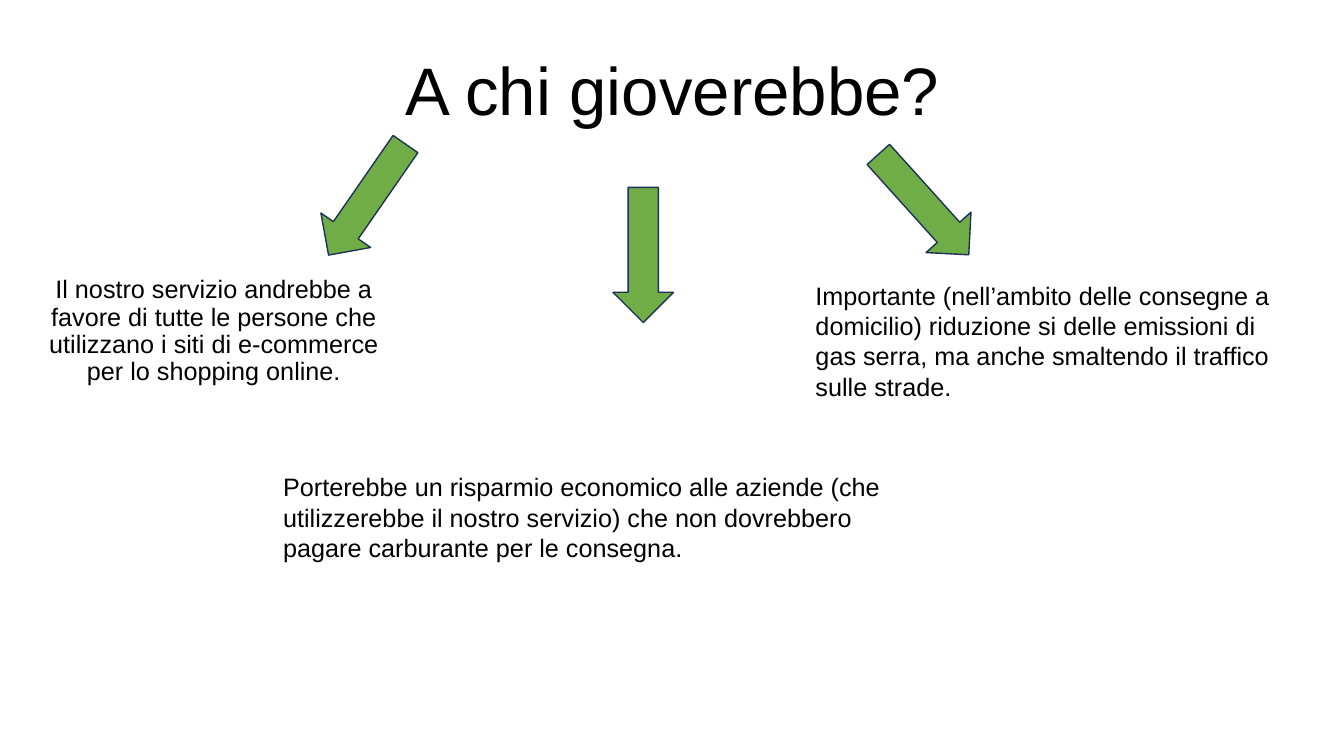
from dataclasses import dataclass

from pptx import Presentation
from pptx.dml.color import RGBColor
from pptx.enum.shapes import MSO_SHAPE
from pptx.enum.text import MSO_ANCHOR, PP_ALIGN
from pptx.slide import Slide
from pptx.util import Inches, Pt

RIGHT_ARROW = MSO_SHAPE.RIGHT_ARROW
TOP, BOTTOM = MSO_ANCHOR.TOP, MSO_ANCHOR.BOTTOM
LEFT, CENTER = PP_ALIGN.LEFT, PP_ALIGN.CENTER

FONT = "Arial"
BLACK, GREEN, NAVY = "000000", "70AD47", "1E3256"
ARROW_WIDTH, ARROW_HEIGHT = 1.34, 0.6


@dataclass
class TextBlock:
    text: str
    left: float
    top: float
    width: float
    height: float
    size: int = 18
    align: PP_ALIGN = LEFT
    anchor: MSO_ANCHOR = TOP
    line_spacing: float = 1.0


@dataclass
class Arrow:
    left: float
    top: float
    rotation: float


TEXT_BLOCKS = [
    TextBlock("A chi gioverebbe?", 1.67, 0.26, 10, 1.08, 48, CENTER, BOTTOM, 0.9),
    TextBlock(
        "Il nostro servizio andrebbe a favore di tutte le persone che "
        "utilizzano i siti di e-commerce per lo shopping online.",
        0.33, 2.7, 3.58, 1.68, align=CENTER, line_spacing=0.9,
    ),
    TextBlock(
        "Importante (nell’ambito delle consegne a domicilio) riduzione si delle "
        "emissioni di gas serra, ma anche smaltendo il traffico sulle strade.",
        7.99, 2.73, 5.03, 1.31,
    ),
    TextBlock(
        "Porterebbe un risparmio economico alle aziende (che utilizzerebbe il "
        "nostro servizio) che non dovrebbero pagare carburante per le consegna.",
        2.71, 4.63, 6.67, 1.01,
    ),
]

ARROWS = [Arrow(2.97, 1.68, 124.7), Arrow(5.71, 2.23, 90), Arrow(8.49, 1.73, 48)]


def color(value: str) -> RGBColor:
    return RGBColor.from_string(value)


def add_text(slide: Slide, block: TextBlock) -> None:
    shape = slide.shapes.add_textbox(
        Inches(block.left), Inches(block.top), Inches(block.width), Inches(block.height)
    )
    frame = shape.text_frame
    frame.word_wrap = True
    frame.vertical_anchor = block.anchor
    paragraph = frame.paragraphs[0]
    paragraph.alignment = block.align
    paragraph.line_spacing = block.line_spacing
    run = paragraph.add_run()
    run.text = block.text
    run.font.name = FONT
    run.font.size = Pt(block.size)
    run.font.color.rgb = color(BLACK)


def add_arrow(slide: Slide, arrow: Arrow) -> None:
    shape = slide.shapes.add_shape(
        RIGHT_ARROW, Inches(arrow.left), Inches(arrow.top),
        Inches(ARROW_WIDTH), Inches(ARROW_HEIGHT),
    )
    shape.rotation = arrow.rotation
    shape.shadow.inherit = False
    shape.fill.solid()
    shape.fill.fore_color.rgb = color(GREEN)
    shape.line.color.rgb = color(NAVY)
    shape.line.width = Pt(1)


def main() -> None:
    presentation = Presentation()
    presentation.slide_width = Inches(13.33)
    presentation.slide_height = Inches(7.5)
    slide = presentation.slides.add_slide(presentation.slide_layouts[6])

    # Title and the three beneficiaries
    for block in TEXT_BLOCKS:
        add_text(slide, block)

    # Arrows from the title to each beneficiary
    for arrow in ARROWS:
        add_arrow(slide, arrow)

    presentation.save("out.pptx")


if __name__ == "__main__":
    main()
